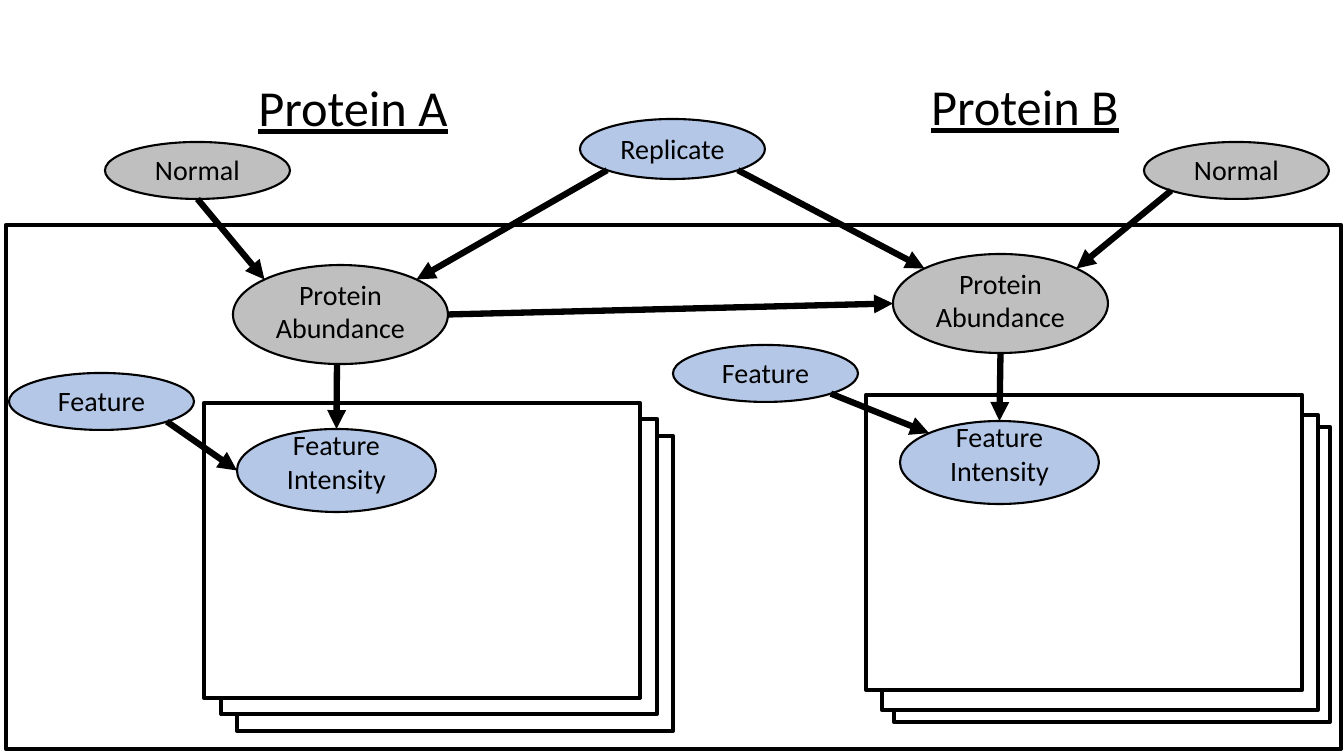
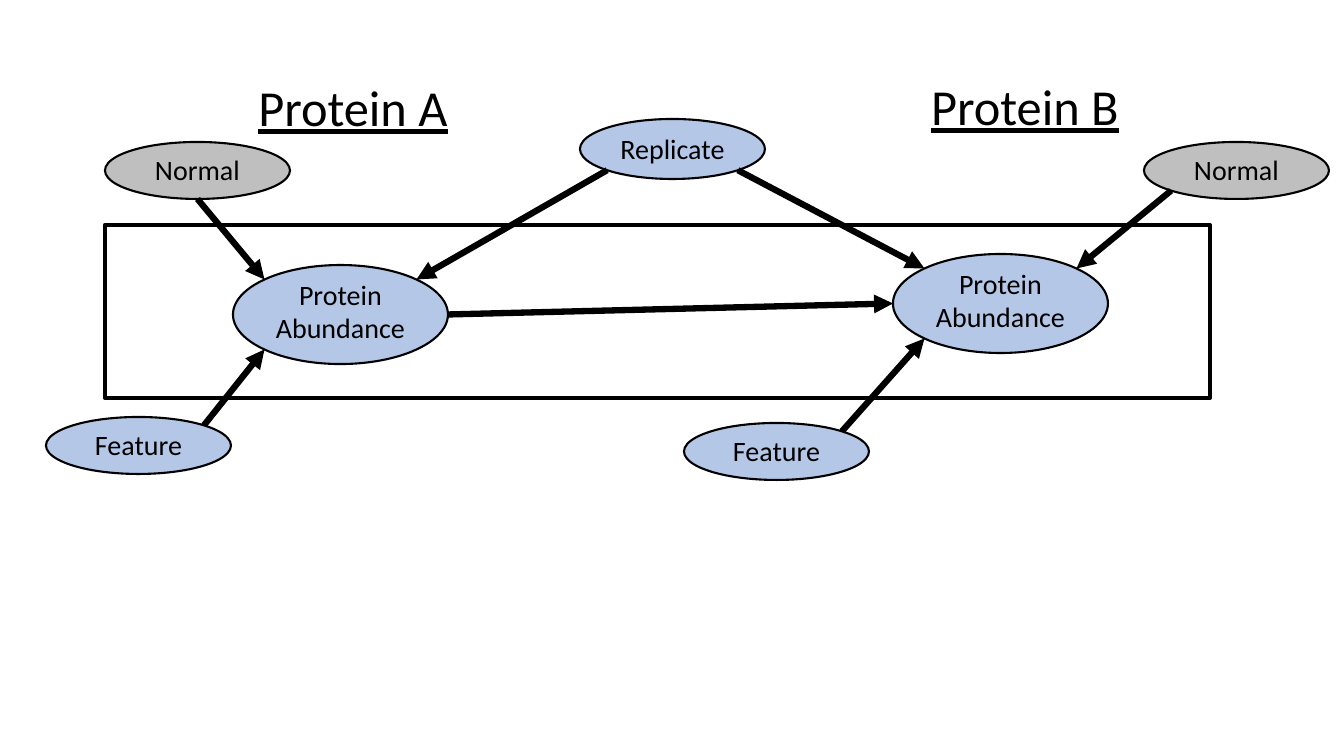
from math import cos, radians, sin

from lxml.etree import SubElement
from pptx import Presentation
from pptx.dml.color import RGBColor
from pptx.enum.shapes import MSO_CONNECTOR, MSO_SHAPE
from pptx.enum.text import MSO_ANCHOR, PP_ALIGN
from pptx.oxml.ns import qn
from pptx.util import Pt

PIXEL = 914400 / 100.8
FONT = "Calibri"
COLORS = {"ink": "000000", "plate": "FFFFFF", "blue": "B4C7E7", "gray": "BFBFBF"}

# Content shared by both slides: lengths in pixels
TITLES = [("Protein A", 202, 71), ("Protein B", 874, 70)]
TITLE_SIZE = (302, 72)
NODE_SIZES = {
    "Replicate": (185, 60),
    "Normal": (185, 57),
    "Feature": (185, 57),
    "Protein\nAbundance": (215, 99),
    "Feature\nIntensity": (199, 83),
}
SHARED_NODES = {
    "replicate": ("Replicate", "blue", 580, 119),
    "normal A": ("Normal", "gray", 105, 142),
    "normal B": ("Normal", "gray", 1144, 142),
}
# Arrows run from one node's side to another's
SHARED_ARROWS = [
    ("replicate", "bottom left", "abundance A", "top right"),
    ("replicate", "bottom right", "abundance B", "top left"),
    ("abundance A", "right", "abundance B", "left"),
    ("normal A", "bottom", "abundance A", "top left"),
    ("normal B", "bottom left", "abundance B", "top right"),
]
SIDE_ANGLES = {"right": 0, "bottom right": 45, "bottom": 90, "bottom left": 135,
               "left": 180, "top left": 225, "top": 270, "top right": 315}

# Content of each slide
STACK_SIZE = (436, 295)
STACKS = [
    (204, 403, [(33, 33), (17, 16), (0, 0)]),
    (866, 395, [(28, 32), (16, 20), (0, 0)]),
]
SLIDES = [
    {
        "frame": (6, 225, 1335, 524),
        "stacks": STACKS,
        "nodes": {
            "abundance A": ("Protein\nAbundance", "gray", 233, 265),
            "abundance B": ("Protein\nAbundance", "gray", 893, 254),
            "feature A": ("Feature", "blue", 9, 373),
            "feature B": ("Feature", "blue", 673, 345),
            "intensity A": ("Feature\nIntensity", "blue", 237, 429),
            "intensity B": ("Feature\nIntensity", "blue", 900, 421),
        },
        "arrows": [
            ("feature A", "bottom right", "intensity A", "left"),
            ("feature B", "bottom right", "intensity B", "top left"),
            ("abundance A", (337, 365), "intensity A", "top"),
            ("abundance B", "bottom", "intensity B", "top"),
        ],
    },
    {
        "frame": (105, 225, 1105, 173),
        "stacks": [],
        "nodes": {
            "abundance A": ("Protein\nAbundance", "blue", 233, 265),
            "abundance B": ("Protein\nAbundance", "blue", 893, 254),
            "feature A": ("Feature", "blue", 46, 417),
            "feature B": ("Feature", "blue", 684, 423),
        },
        "arrows": [
            ("feature A", "top right", "abundance A", "bottom left"),
            ("feature B", "top right", "abundance B", "bottom left"),
        ],
    },
]


def emu(*lengths):
    return [round(length * PIXEL) for length in lengths]


def color(name):
    return RGBColor.from_string(COLORS[name])


def write(frame, text, size, underline=None):
    frame.word_wrap = True
    frame.text = text
    for para in frame.paragraphs:
        para.alignment = PP_ALIGN.CENTER
        for span in para.runs:
            span.font.name = FONT
            span.font.size = Pt(size)
            span.font.underline = underline
            span.font.color.rgb = color("ink")


def add_outlined(page, kind, bounds, fill, line_width):
    shape = page.shapes.add_shape(kind, *emu(*bounds))
    shape.shadow.inherit = False
    shape.fill.solid()
    shape.fill.fore_color.rgb = color(fill)
    shape.line.color.rgb = color("ink")
    shape.line.width = Pt(line_width)
    return shape


def add_node(page, label, fill, left, top):
    bounds = (left, top, *NODE_SIZES[label])
    node = add_outlined(page, MSO_SHAPE.OVAL, bounds, fill, 1.5)
    write(node.text_frame, label, 20)
    node.text_frame.vertical_anchor = MSO_ANCHOR.BOTTOM


def rim_point(node, side):
    """Point on a node's outline; an explicit point is kept."""
    if side not in SIDE_ANGLES:
        return side
    label, _, left, top = node
    width, height = NODE_SIZES[label]
    angle = radians(SIDE_ANGLES[side])
    return (left + width / 2 * (1 + cos(angle)), top + height / 2 * (1 + sin(angle)))


def add_arrow(page, start, end):
    arrow = page.shapes.add_connector(MSO_CONNECTOR.STRAIGHT, *emu(*start, *end))
    arrow.line.color.rgb = color("ink")
    arrow.line.width = Pt(4.5)
    SubElement(arrow.line._get_or_add_ln(), qn("a:tailEnd"), type="triangle")
    SubElement(arrow._element.spPr, qn("a:effectLst"))


def build_page(deck, content):
    page = deck.slides.add_slide(deck.slide_layouts[6])

    # Frame and stacked plates
    plates = [content["frame"]]
    for left, top, offsets in content["stacks"]:
        plates += [(left + right, top + down, *STACK_SIZE) for right, down in offsets]
    for bounds in plates:
        add_outlined(page, MSO_SHAPE.RECTANGLE, bounds, "plate", 3)

    # Titles
    for text, left, top in TITLES:
        box = page.shapes.add_textbox(*emu(left, top, *TITLE_SIZE))
        write(box.text_frame, text, 36, underline=True)

    # Nodes and the arrows between them
    nodes = SHARED_NODES | content["nodes"]
    for node in nodes.values():
        add_node(page, *node)
    for source, source_side, target, target_side in SHARED_ARROWS + content["arrows"]:
        add_arrow(page, rim_point(nodes[source], source_side),
                  rim_point(nodes[target], target_side))


deck = Presentation()
deck.slide_width, deck.slide_height = emu(1344, 756)
for content in SLIDES:
    build_page(deck, content)
deck.save("out.pptx")
